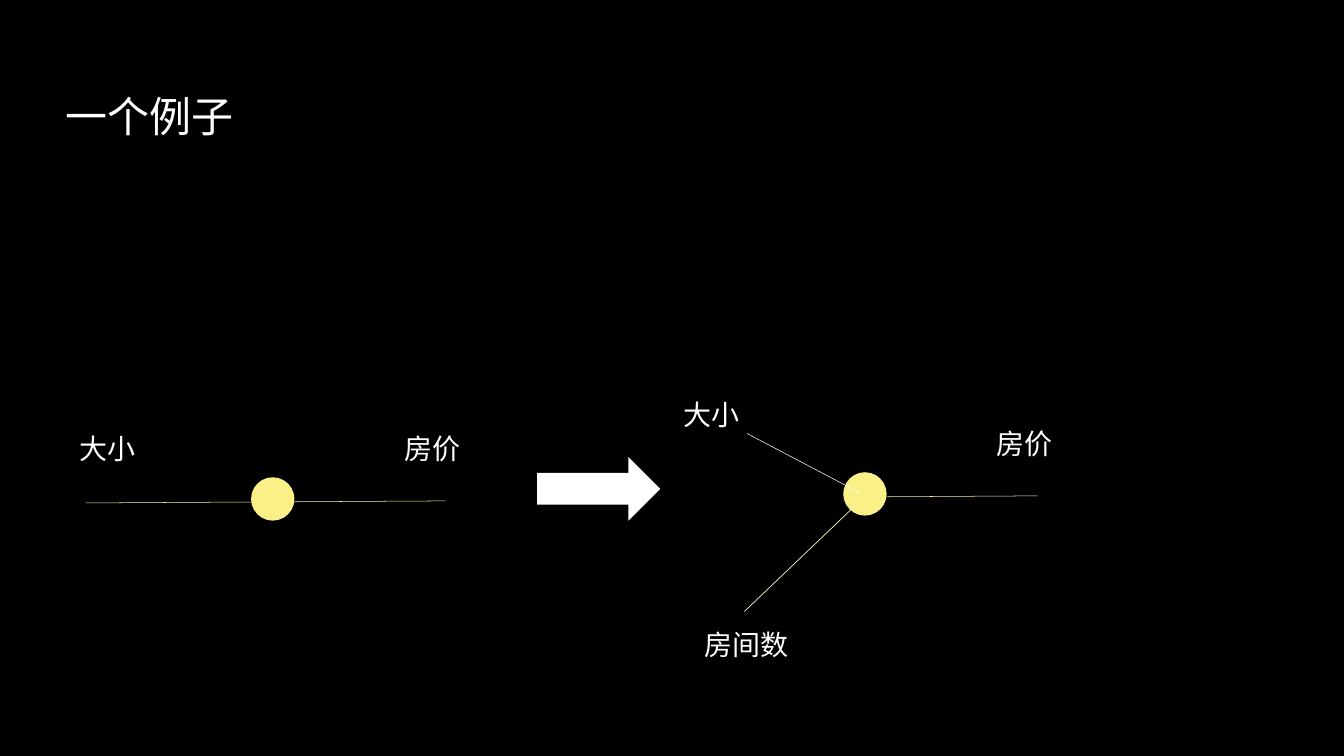
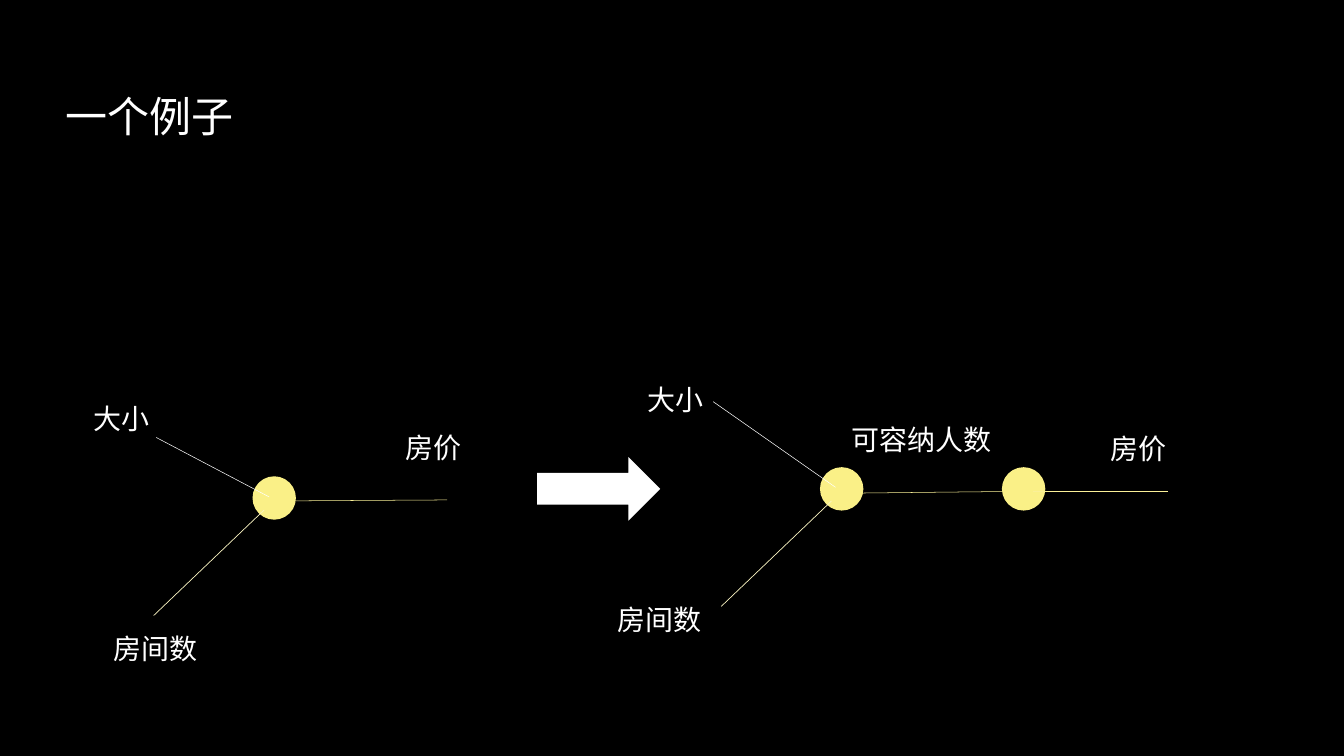
from dataclasses import dataclass

from lxml import etree
from pptx import Presentation
from pptx.dml.color import RGBColor
from pptx.enum.shapes import MSO_CONNECTOR, MSO_SHAPE
from pptx.enum.text import MSO_ANCHOR, MSO_AUTO_SIZE
from pptx.oxml.ns import qn
from pptx.util import Pt

STRAIGHT = MSO_CONNECTOR.STRAIGHT
CIRCLE, RIGHT_ARROW = MSO_SHAPE.OVAL, MSO_SHAPE.RIGHT_ARROW
TOP, BOTTOM = MSO_ANCHOR.TOP, MSO_ANCHOR.BOTTOM
GROW = MSO_AUTO_SIZE.SHAPE_TO_FIT_TEXT

BLACK, WHITE = "000000", "FFFFFF"
NODE_YELLOW, EDGE_YELLOW, PALE_YELLOW = "FAF087", "FAF098", "FCF6C3"
FONT = "Cabin"
TITLE = "一个例子"
SIZE, ROOMS, CAPACITY, PRICE = "大小", "房间数", "可容纳人数", "房价"
NODE_DIAMETER = 62
LABEL_HEIGHT = 55.4


@dataclass
class Label:
    text: str
    x: float
    y: float
    width: float = 111


@dataclass
class Edge:
    x1: float
    y1: float
    x2: float
    y2: float
    color: str = EDGE_YELLOW
    weight: float = 0.75


@dataclass
class Node:
    x: float = 0
    y: float = 0


@dataclass
class Network:
    """Elements from back to front, placed relative to the first node's corner."""
    x: float
    y: float
    elements: list


ROOMS_EDGE = Edge(-141.1, 198.9, 16.6, 48.2, PALE_YELLOW, 1)
PRICE_LABEL = Label(PRICE, 211.7, -68.4)

ONE_INPUT = [
    Label(SIZE, -252, -68.4),
    Edge(-236.2, 36.7, 277.9, 33.8),
    Node(),
    PRICE_LABEL,
]
TWO_INPUTS = [
    Label(SIZE, -234.7, -110.9),
    Edge(26.6, 35.3, 277.9, 33.8),
    Node(),
    PRICE_LABEL,
    ROOMS_EDGE,
    Label(ROOMS, -205.2, 218.2, 150),
    Edge(23.8, 29.5, -137.5, -55.4, WHITE),
]
TWO_LAYERS = [
    Label(PRICE, 408.2, -54, 143),
    Label(SIZE, -253.4, -123.8),
    Edge(18, 37.4, 277.9, 34.6),
    Node(),
    Label(CAPACITY, 38.2, -67.7, 266),
    ROOMS_EDGE,
    Label(ROOMS, -296.6, 189.4, 150),
    Node(259.9),
    Edge(304.6, 33.8, 497.5, 33.8),
    Edge(22.3, 28.8, -152.6, -93.6, WHITE),
]

SLIDES = [
    (Network(358.6, 681.8, ONE_INPUT), Network(1204.6, 674.6, TWO_INPUTS)),
    (Network(360.7, 680.4, TWO_INPUTS), Network(1171.4, 667.4, TWO_LAYERS)),
]


def rgb(color: str) -> RGBColor:
    return RGBColor.from_string(color)


def add_text(shapes, text: str, x: float, y: float, width: float, height: float,
             size: float, anchor=TOP):
    box = shapes.add_textbox(Pt(x), Pt(y), Pt(width), Pt(height))
    frame = box.text_frame
    frame.word_wrap = True
    frame.vertical_anchor = anchor
    run = frame.paragraphs[0].add_run()
    run.text = text
    run.font.name = FONT
    run.font.size = Pt(size)
    run.font.color.rgb = rgb(WHITE)
    return frame


def add_solid(shapes, preset, x: float, y: float, width: float, height: float,
              color: str) -> None:
    shape = shapes.add_shape(preset, Pt(x), Pt(y), Pt(width), Pt(height))
    shape.shadow.inherit = False
    shape.fill.solid()
    shape.fill.fore_color.rgb = rgb(color)
    shape.line.fill.background()


def add_edge(shapes, edge: Edge, x: float, y: float) -> None:
    line = shapes.add_connector(STRAIGHT, Pt(x + edge.x1), Pt(y + edge.y1),
                                Pt(x + edge.x2), Pt(y + edge.y2))
    line.line.color.rgb = rgb(edge.color)
    line.line.width = Pt(edge.weight)
    etree.SubElement(line._element.spPr, qn("a:effectLst"))


def add_network(slide, network: Network) -> None:
    shapes = slide.shapes.add_group_shape().shapes
    x, y = network.x, network.y
    for element in network.elements:
        if isinstance(element, Label):
            frame = add_text(shapes, element.text, x + element.x, y + element.y,
                             element.width, LABEL_HEIGHT, 40)
            frame.auto_size = GROW
        elif isinstance(element, Edge):
            add_edge(shapes, element, x, y)
        else:
            add_solid(shapes, CIRCLE, x + element.x, y + element.y,
                      NODE_DIAMETER, NODE_DIAMETER, NODE_YELLOW)


def add_example_slide(deck, before: Network, after: Network) -> None:
    slide = deck.slides.add_slide(deck.slide_layouts[6])
    slide.background.fill.solid()
    slide.background.fill.fore_color.rgb = rgb(BLACK)
    add_text(slide.shapes, TITLE, 86.4, 36.7, 1699.2, 168.5, 60, BOTTOM)
    add_network(slide, before)
    add_solid(slide.shapes, RIGHT_ARROW, 767.5, 653, 175.7, 90.7, WHITE)
    add_network(slide, after)


def main() -> None:
    deck = Presentation()
    deck.slide_width, deck.slide_height = Pt(1920), Pt(1080)
    for before, after in SLIDES:
        add_example_slide(deck, before, after)
    deck.save("out.pptx")


if __name__ == "__main__":
    main()
